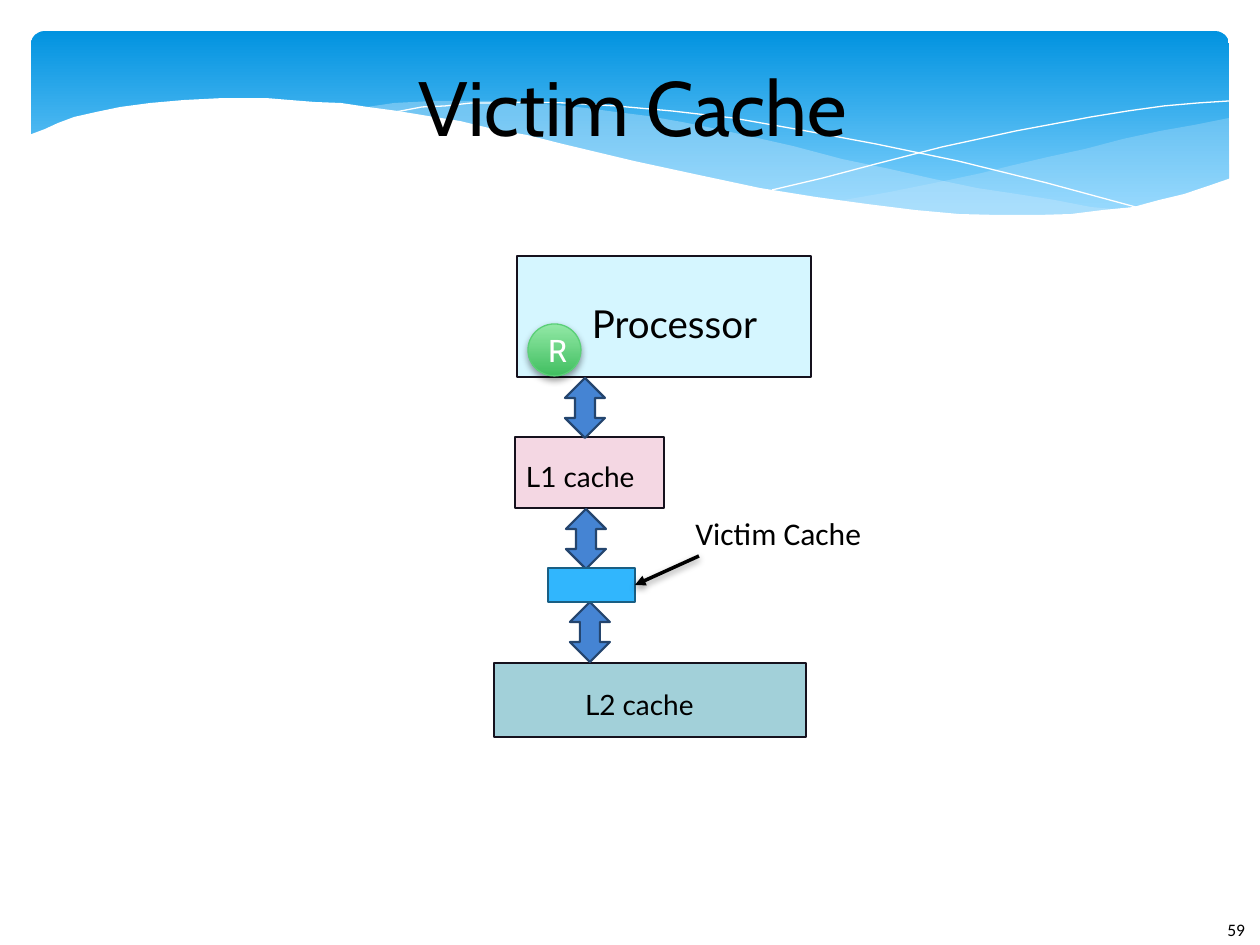
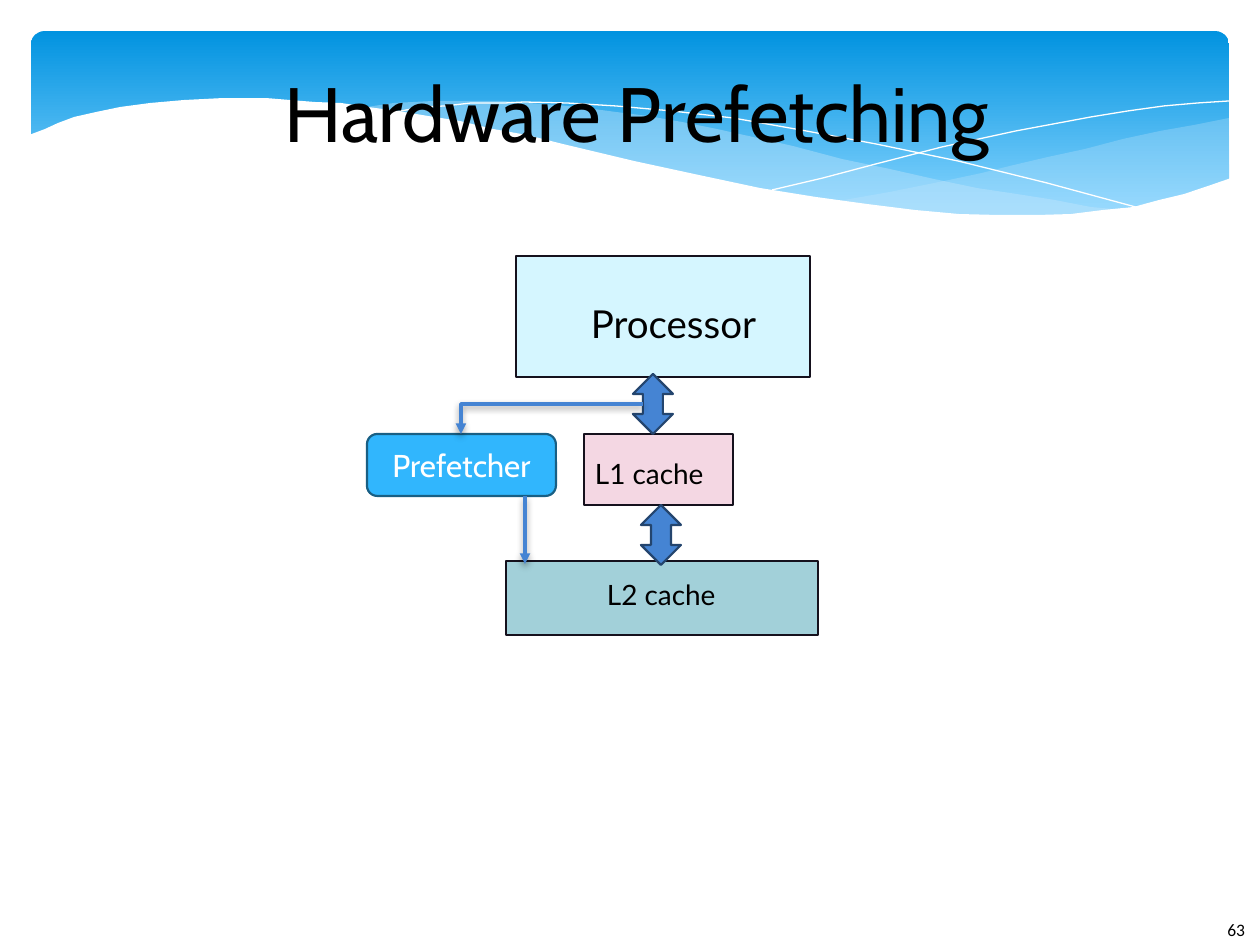
from lxml import etree
from pptx import Presentation
from pptx.dml.color import RGBColor
from pptx.enum.shapes import MSO_CONNECTOR, MSO_SHAPE
from pptx.enum.text import MSO_ANCHOR, MSO_AUTO_SIZE, PP_ALIGN
from pptx.oxml import parse_xml
from pptx.oxml.ns import nsdecls, qn
from pptx.util import Pt

RECT, ROUND_RECT = MSO_SHAPE.RECTANGLE, MSO_SHAPE.ROUNDED_RECTANGLE
OVAL, UP_DOWN = MSO_SHAPE.OVAL, MSO_SHAPE.UP_DOWN_ARROW
STRAIGHT, ELBOW = MSO_CONNECTOR.STRAIGHT, MSO_CONNECTOR.ELBOW
MIDDLE, CENTER = MSO_ANCHOR.MIDDLE, PP_ALIGN.CENTER
NO_FIT = MSO_AUTO_SIZE.NONE

BLACK = RGBColor(0x00, 0x00, 0x00)
WHITE = RGBColor(0xFF, 0xFF, 0xFF)
INK = RGBColor(0x15, 0x11, 0x1D)
BAND_TOP = RGBColor(0x02, 0x93, 0xE0)
BAND_BOTTOM = RGBColor(0x83, 0xD3, 0xFE)
WAVE = RGBColor(0xC6, 0xE7, 0xFC)
PROCESSOR_FILL = RGBColor(0xD5, 0xF6, 0xFF)
L1_FILL = RGBColor(0xF4, 0xD7, 0xE3)
L2_FILL = RGBColor(0xA2, 0xD0, 0xD9)
ARROW = RGBColor(0x45, 0x84, 0xD3)
ARROW_EDGE = RGBColor(0x24, 0x45, 0x6E)
SKY = RGBColor(0x31, 0xB6, 0xFD)
SKY_EDGE = RGBColor(0x19, 0x5F, 0x84)
GREEN_TOP = RGBColor(0x92, 0xE8, 0xA6)
GREEN_BOTTOM = RGBColor(0x41, 0xBF, 0x60)
GREEN_EDGE = RGBColor(0x5B, 0xD0, 0x78)

SCALE = 914400 / 126
SLIDE_SIZE = (1260, 945)
BAND_BOX = (31, 31, 1198, 197)

LIGHT_WAVE = [
    (1229, 118), (1194, 125), (1160, 131), (1123, 139), (1085, 149), (1048, 157),
    (1014, 165), (982, 173), (949, 180), (890, 192), (833, 202), (871, 207),
    (906, 210), (939, 213), (969, 215), (998, 217), (1038, 217), (1076, 214),
    (1110, 210), (1140, 205), (1169, 199), (1196, 192), (1213, 185), (1230, 178)]
MID_WAVE = [
    (1125, 210), (1091, 207), (1055, 200), (1017, 194), (977, 188), (934, 179),
    (890, 169), (842, 159), (793, 146), (753, 137), (717, 129), (682, 122),
    (648, 116), (616, 112), (586, 108), (557, 105), (529, 103), (503, 101),
    (433, 101), (413, 102), (394, 103), (360, 108), (383, 111), (407, 113),
    (431, 118), (456, 122), (483, 127), (509, 134), (538, 139), (566, 146),
    (619, 159), (668, 170), (713, 180), (757, 189), (799, 197), (838, 203),
    (876, 208), (910, 212), (942, 214), (974, 217), (1017, 218), (1056, 217),
    (1092, 214)]
FALLING_LINE = [
    (389, 113), (401, 111), (422, 107), (445, 106), (471, 103), (505, 103),
    (524, 102), (567, 103), (616, 106), (672, 111), (733, 118), (801, 130),
    (876, 144), (958, 161), (1047, 183), (1143, 209)]
RISING_LINE = [
    (772, 190), (823, 178), (876, 164), (942, 147), (1016, 131), (1091, 117),
    (1128, 111), (1164, 106), (1198, 103), (1229, 101)]
WHITE_WAVE = [
    (1231, 178), (1208, 186), (1184, 194), (1159, 200), (1133, 207), (1103, 210),
    (1071, 214), (1037, 215), (999, 215), (959, 214), (915, 210), (867, 204),
    (816, 197), (760, 188), (699, 175), (634, 161), (563, 144), (527, 135),
    (493, 129), (460, 121), (428, 116), (398, 111), (368, 107), (341, 103),
    (315, 102), (290, 100), (266, 98), (223, 98), (184, 100), (150, 103),
    (120, 107), (96, 112), (74, 117), (58, 123), (45, 129), (29, 135),
    (29, 282), (1231, 282)]


def emu(*lengths):
    return [round(n * SCALE) for n in lengths]


def set_all(target, **values):
    for name, value in values.items():
        setattr(target, name, value)


def paint(s, fill=None, line=None, width=0.0, alpha=None):
    s.shadow.inherit = False
    if fill is None:
        s.fill.background()
    elif isinstance(fill, list):
        s.fill.gradient()
        s.fill.gradient_angle = 270
        for stop, (position, color) in zip(s.fill.gradient_stops, fill):
            stop.position = position
            stop.color.rgb = color
    else:
        s.fill.solid()
        s.fill.fore_color.rgb = fill
    if alpha:
        color = s.element.spPr.find(".//" + qn("a:srgbClr"))
        etree.SubElement(color, qn("a:alpha")).set("val", str(alpha * 1000))
    if line is None:
        s.line.fill.background()
    else:
        s.line.color.rgb = line
        s.line.width = Pt(width)


def cast_shadow(s):
    spPr = s.element.spPr
    for effects in spPr.findall(qn("a:effectLst")):
        spPr.remove(effects)
    spPr.append(parse_xml(
        f'<a:effectLst {nsdecls("a")}><a:outerShdw blurRad="50800" dist="25400" '
        'dir="5400000" rotWithShape="0"><a:srgbClr val="000000">'
        '<a:alpha val="38000"/></a:srgbClr></a:outerShdw></a:effectLst>'))


def write(tf, text, font, size, color=BLACK, align=None):
    p = tf.paragraphs[0]
    p.alignment = align
    r = p.add_run()
    r.text = text
    set_all(r.font, name=font, size=Pt(size))
    r.font.color.rgb = color


def add_box(slide, kind, box, **look):
    s = slide.shapes.add_shape(kind, *emu(*box))
    paint(s, **look)
    return s


def add_caption(s, text):
    set_all(s.text_frame, vertical_anchor=MIDDLE, word_wrap=True)
    write(s.text_frame, text, "Cabin", 18, WHITE, CENTER)


def add_label(slide, box, text, font, size, margin=0):
    tf = slide.shapes.add_textbox(*emu(*box)).text_frame
    if margin == 0:
        set_all(tf, margin_left=0, margin_top=0, margin_right=0, margin_bottom=0)
    tf.word_wrap = False
    write(tf, text, font, size)


def add_arrow(slide, kind, start, end, color):
    s = slide.shapes.add_connector(kind, *emu(*start, *end))
    s.line.color.rgb = color
    s.line.width = Pt(2)
    etree.SubElement(s.element.spPr.find(qn("a:ln")), qn("a:tailEnd")).set("type", "triangle")
    cast_shadow(s)
    return s


def add_curve(slide, points, closed, **look):
    builder = slide.shapes.build_freeform(*points[0], scale=SCALE)
    builder.add_line_segments(points[1:], close=closed)
    s = builder.convert_to_shape()
    paint(s, **look)
    return s


def band(slide, box):
    base = add_box(slide, ROUND_RECT, box, fill=[(0, BAND_TOP), (0.9, BAND_BOTTOM)])
    base.adjustments[0] = 0.07
    curves = [
        (LIGHT_WAVE, True, {"fill": WAVE, "alpha": 29}),
        (MID_WAVE, True, {"fill": WAVE, "alpha": 40}),
        (FALLING_LINE, False, {"line": WHITE}),
        (RISING_LINE, False, {"line": WHITE}),
        (WHITE_WAVE, True, {"fill": WHITE})]
    return [base] + [add_curve(slide, points, closed, **look)
                     for points, closed, look in curves]


def move_to_layout(layout, shapes):
    for number, s in enumerate(shapes, 101):
        s.element.nvSpPr.cNvPr.set("id", str(number))
        layout.shapes.element.append(s.element)


def heading(slide, box, text):
    s = slide.shapes.title
    set_all(s, **dict(zip(("left", "top", "width", "height"), emu(*box))))
    set_all(s.text_frame, margin_left=0, margin_top=0, margin_right=0, margin_bottom=0,
            vertical_anchor=MIDDLE, word_wrap=True, auto_size=NO_FIT)
    write(s.text_frame, text, "Cabin", 44, align=CENTER)


def page_number(slide, box, number):
    add_label(slide, box, number, "Calibri", 10, margin=None)


def processor(slide, x, y):
    add_box(slide, RECT, (x, y, 294, 121), fill=PROCESSOR_FILL, line=INK)
    add_label(slide, (x + 75, y + 44, 200, 54), "Processor", "Lato", 22)


def l1_cache(slide, x, y):
    add_box(slide, RECT, (x, y, 149, 71), fill=L1_FILL, line=INK)
    add_label(slide, (x + 11, y + 23, 135, 40), "L1 cache", "Lato", 16)


def l2_cache(slide, x, y, label_dx, label_dy):
    add_box(slide, RECT, (x, y, 312, 74), fill=L2_FILL, line=INK)
    add_label(slide, (x + label_dx, y + label_dy, 135, 40), "L2 cache", "Lato", 16)


def bus_arrows(slide, x, y, offsets):
    for dx, dy in offsets:
        add_box(slide, UP_DOWN, (x + dx, y + dy, 40, 60),
                fill=ARROW, line=ARROW_EDGE, width=1.25)


def victim_diagram(slide, x, y):
    processor(slide, x + 23, y)
    l1_cache(slide, x + 21, y + 181)
    l2_cache(slide, x, y + 407, 91, 25)
    bus_arrows(slide, x, y, [(71, 122), (72, 253), (76, 346)])
    victim = add_box(slide, RECT, (x + 54, y + 312, 87, 34),
                     fill=SKY, line=SKY_EDGE, width=1.25)
    add_label(slide, (x + 189, y + 252, 193, 50), "Victim Cache", "Calibri", 18, margin=None)
    pointer = add_arrow(slide, STRAIGHT, (x + 205, y + 300), (x + 141, y + 329), BLACK)
    pointer.end_connect(victim, 3)
    register = add_box(slide, OVAL, (x + 34, y + 68, 53, 52), line=GREEN_EDGE, width=0.75,
                       fill=[(0, GREEN_TOP), (1, GREEN_BOTTOM)])
    cast_shadow(register)
    add_caption(register, "R")


def prefetch_diagram(slide, x, y):
    processor(slide, x + 149, y)
    l1_cache(slide, x + 217, y + 178)
    l2_cache(slide, x + 139, y + 305, 101, 17)
    bus_arrows(slide, x, y, [(266, 118), (274, 249)])
    prefetcher = add_box(slide, ROUND_RECT, (x, y + 178, 189, 62),
                         fill=SKY, line=SKY_EDGE, width=1.25)
    add_caption(prefetcher, "Prefetcher")
    tap = add_arrow(slide, ELBOW, (x + 276, y + 148), (x + 94, y + 178), ARROW)
    tap.element.spPr.find(qn("a:prstGeom")).set("prst", "bentConnector2")
    add_arrow(slide, STRAIGHT, (x + 158, y + 240), (x + 158, y + 308), ARROW)


def main():
    prs = Presentation()
    prs.slide_width, prs.slide_height = emu(*SLIDE_SIZE)
    layout = prs.slide_layouts[5]
    pages = [
        ("Victim Cache", (122, 42, 1022, 128), "59", victim_diagram, (494, 256)),
        ("Hardware Prefetching", (126, 48, 1022, 128), "63", prefetch_diagram, (367, 256))]
    for number, (title, title_box, page, diagram, origin) in enumerate(pages):
        slide = prs.slides.add_slide(layout)
        if number == 0:
            move_to_layout(layout, band(slide, BAND_BOX))
        heading(slide, title_box, title)
        diagram(slide, *origin)
        page_number(slide, (1215, 913, 77, 50), page)
    prs.save("out.pptx")


if __name__ == "__main__":
    main()
